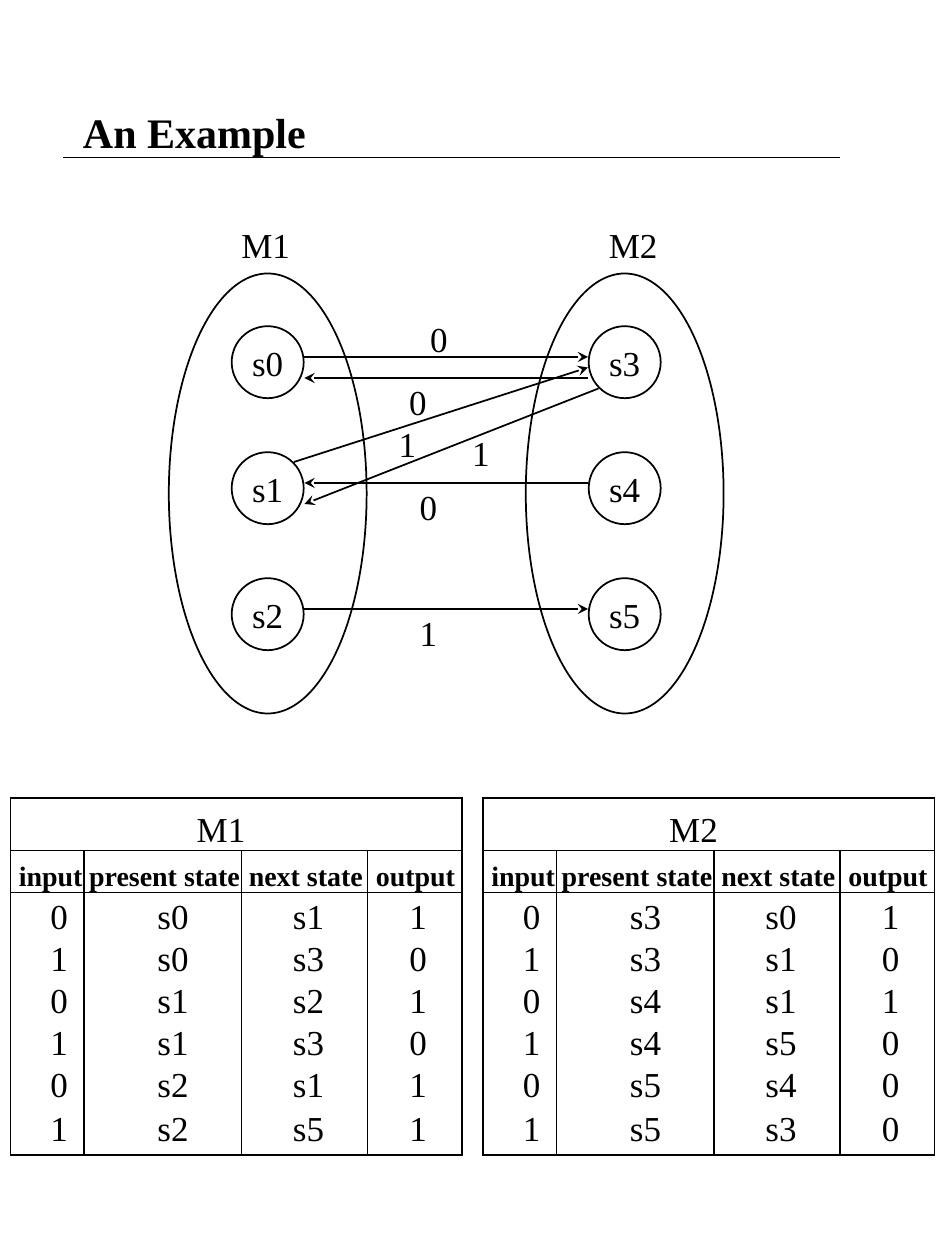
"""Build a slide that shows two communicating state machines and their tables."""
from typing import NamedTuple

from lxml import etree
from pptx import Presentation
from pptx.dml.color import RGBColor
from pptx.enum.shapes import MSO_CONNECTOR, MSO_SHAPE
from pptx.enum.text import MSO_ANCHOR, MSO_AUTO_SIZE, PP_ALIGN
from pptx.oxml.ns import qn
from pptx.util import Inches, Pt

BLACK = RGBColor(0, 0, 0)
WHITE = RGBColor(255, 255, 255)
FONT = "Times New Roman"
OVAL = MSO_SHAPE.OVAL
STRAIGHT = MSO_CONNECTOR.STRAIGHT
LEFT, CENTER = PP_ALIGN.LEFT, PP_ALIGN.CENTER
MIDDLE, BOTTOM = MSO_ANCHOR.MIDDLE, MSO_ANCHOR.BOTTOM
FIT_SHAPE = MSO_AUTO_SIZE.SHAPE_TO_FIT_TEXT

GRID_COLUMNS, GRID_ROWS = 90, 120
CELL = Inches(1 / 12)
LINE_WIDTH = Pt(1)
STATE_SIZE = 6.86
MACHINE_WIDTH, MACHINE_HEIGHT = 18.84, 41.9
STATE_ROWS = (34.5, 46.5, 58.5)

HEADINGS = ("input", "present state", "next state", "output")
COLUMN_WIDTHS = (7, 15, 12, 9)
ROW_HEIGHTS = (5, 4, 4.2, 4, 4, 4, 4, 4.8)
HEADING_INDENTS = (0.8, 0.5, 0.7, 0.8)
VALUE_INDENTS = (3.8, 7, 4.9, 4)
CAPTION_SHIFT = 2.9


class Machine(NamedTuple):
    name: str
    center: float
    name_center: float
    states: tuple[str, ...]
    table_left: float
    transitions: tuple[str, ...]


class Arrow(NamedTuple):
    x1: float
    y1: float
    x2: float
    y2: float


class Label(NamedTuple):
    text: str
    x: float
    y: float


MACHINES = (
    Machine("M1", 25.5, 25.3, ("s0", "s1", "s2"), 1,
            ("0 s0 s1 1", "1 s0 s3 0", "0 s1 s2 1",
             "1 s1 s3 0", "0 s2 s1 1", "1 s2 s5 1")),
    Machine("M2", 59.5, 60.3, ("s3", "s4", "s5"), 46,
            ("0 s3 s0 1", "1 s3 s1 0", "0 s4 s1 1",
             "1 s4 s5 0", "0 s5 s4 0", "1 s5 s3 0")),
)
ARROWS = (
    Arrow(29, 34, 56, 34), Arrow(56, 36, 29, 36), Arrow(28, 44, 56, 35),
    Arrow(56, 46, 29, 46), Arrow(57, 37, 29, 48), Arrow(29, 58, 56, 58),
)
OUTPUTS = (
    Label("0", 41.8, 32.2), Label("1", 40.8, 60.2), Label("0", 40.8, 48.2),
    Label("1", 45.8, 43.1), Label("1", 38.8, 42.2), Label("0", 39.8, 38.2),
)


def grid(cells: float) -> int:
    """Turn grid cells into a length."""
    return round(cells * CELL)


def write(frame, text: str, size: int = 20, bold: bool = False, align=CENTER) -> None:
    """Write one formatted run into a text frame."""
    paragraph = frame.paragraphs[0]
    paragraph.alignment = align
    run = paragraph.add_run()
    run.text = text
    run.font.name = FONT
    run.font.size = Pt(size)
    run.font.bold = bold
    run.font.color.rgb = BLACK


def add_oval(slide, x: float, y: float, width: float, height: float):
    """Draw a half-transparent white oval around a centre."""
    oval = slide.shapes.add_shape(
        OVAL, grid(x - width / 2), grid(y - height / 2), grid(width), grid(height))
    oval.shadow.inherit = False
    oval.fill.solid()
    oval.fill.fore_color.rgb = WHITE
    color = oval.fill._xPr.find(qn("a:solidFill"))[0]
    etree.SubElement(color, qn("a:alpha"), val="50000")
    oval.line.color.rgb = BLACK
    oval.line.width = LINE_WIDTH
    return oval


def add_line(slide, line: Arrow, pointed: bool = True) -> None:
    """Draw a straight line, with an arrowhead at its end if pointed."""
    connector = slide.shapes.add_connector(STRAIGHT, *(grid(value) for value in line))
    connector.line.color.rgb = BLACK
    connector.line.width = LINE_WIDTH
    if pointed:
        etree.SubElement(connector.line._get_or_add_ln(), qn("a:tailEnd"), type="stealth")
    etree.SubElement(connector._element.spPr, qn("a:effectLst"))


def add_label(slide, label: Label) -> None:
    """Write a label around its centre."""
    width, height = 1.1 + 3 * len(label.text), 5.1
    box = slide.shapes.add_textbox(
        grid(label.x - width / 2), grid(label.y - height / 2), grid(width), grid(height))
    box.text_frame.word_wrap = False
    box.text_frame.auto_size = FIT_SHAPE
    write(box.text_frame, label.text)


def add_machine(slide, machine: Machine) -> None:
    """Draw a machine with its states."""
    add_oval(slide, machine.center, 47, MACHINE_WIDTH, MACHINE_HEIGHT)
    for state, row in zip(machine.states, STATE_ROWS):
        circle = add_oval(slide, machine.center, row, STATE_SIZE, STATE_SIZE)
        circle.text_frame.word_wrap = False
        circle.text_frame.vertical_anchor = MIDDLE
        write(circle.text_frame, state)


def style_cell(cell, sides: str, indent: float = 0, below: float = 0) -> None:
    """Give a cell its margins, white fill and the borders named in sides."""
    cell.margin_left, cell.margin_bottom = grid(indent), grid(below)
    cell.margin_right = cell.margin_top = 0
    cell.vertical_anchor = BOTTOM
    properties = cell._tc.get_or_add_tcPr()
    for side in "LRTB":
        border = etree.SubElement(properties, qn(f"a:ln{side}"), w=str(LINE_WIDTH))
        if side in sides:
            ink = etree.SubElement(border, qn("a:solidFill"))
            etree.SubElement(ink, qn("a:srgbClr"), val=str(BLACK))
        else:
            etree.SubElement(border, qn("a:noFill"))
    cell.fill.solid()
    cell.fill.fore_color.rgb = WHITE


def add_transition_table(slide, machine: Machine) -> None:
    """Add the table of a machine's transitions."""
    table = slide.shapes.add_table(
        len(ROW_HEIGHTS), len(COLUMN_WIDTHS), grid(machine.table_left), grid(76),
        grid(sum(COLUMN_WIDTHS)), grid(sum(ROW_HEIGHTS))).table
    table.first_row = table.horz_banding = False
    for column, width in zip(table.columns, COLUMN_WIDTHS):
        column.width = grid(width)
    for row, height in zip(table.rows, ROW_HEIGHTS):
        row.height = grid(height)
    last = len(ROW_HEIGHTS) - 1
    for column, heading in enumerate(HEADINGS):
        style_cell(table.cell(0, column), "LRTB")
        heading_cell = table.cell(1, column)
        style_cell(heading_cell, "LRTB", HEADING_INDENTS[column])
        write(heading_cell.text_frame, heading, 16, True, LEFT)
        for row, transition in enumerate(machine.transitions, start=2):
            sides = "LR" + "T" * (row == 2) + "B" * (row == last)
            cell = table.cell(row, column)
            style_cell(cell, sides, VALUE_INDENTS[column], 0.6 * (row == last))
            write(cell.text_frame, transition.split()[column], align=LEFT)
    caption = table.cell(0, 0)
    caption.merge(table.cell(0, len(COLUMN_WIDTHS) - 1))
    caption.margin_right = grid(CAPTION_SHIFT)
    write(caption.text_frame, machine.name)


def main() -> None:
    """Build and save the slide."""
    deck = Presentation()
    deck.slide_width, deck.slide_height = grid(GRID_COLUMNS), grid(GRID_ROWS)
    slide = deck.slides.add_slide(deck.slide_layouts[5])
    title = slide.shapes.title
    title.left, title.top, title.width, title.height = map(grid, (6.7, 8, 76.4, 9))
    title.text_frame.vertical_anchor = MIDDLE
    write(title.text_frame, "An Example", 24, True, LEFT)
    add_line(slide, Arrow(6, 15, 80, 15), pointed=False)
    for machine in MACHINES:
        add_machine(slide, machine)
    for arrow in ARROWS:
        add_line(slide, arrow)
    names = tuple(Label(machine.name, machine.name_center, 23.2) for machine in MACHINES)
    for label in OUTPUTS + names:
        add_label(slide, label)
    for machine in MACHINES:
        add_transition_table(slide, machine)
    deck.save("out.pptx")


if __name__ == "__main__":
    main()
